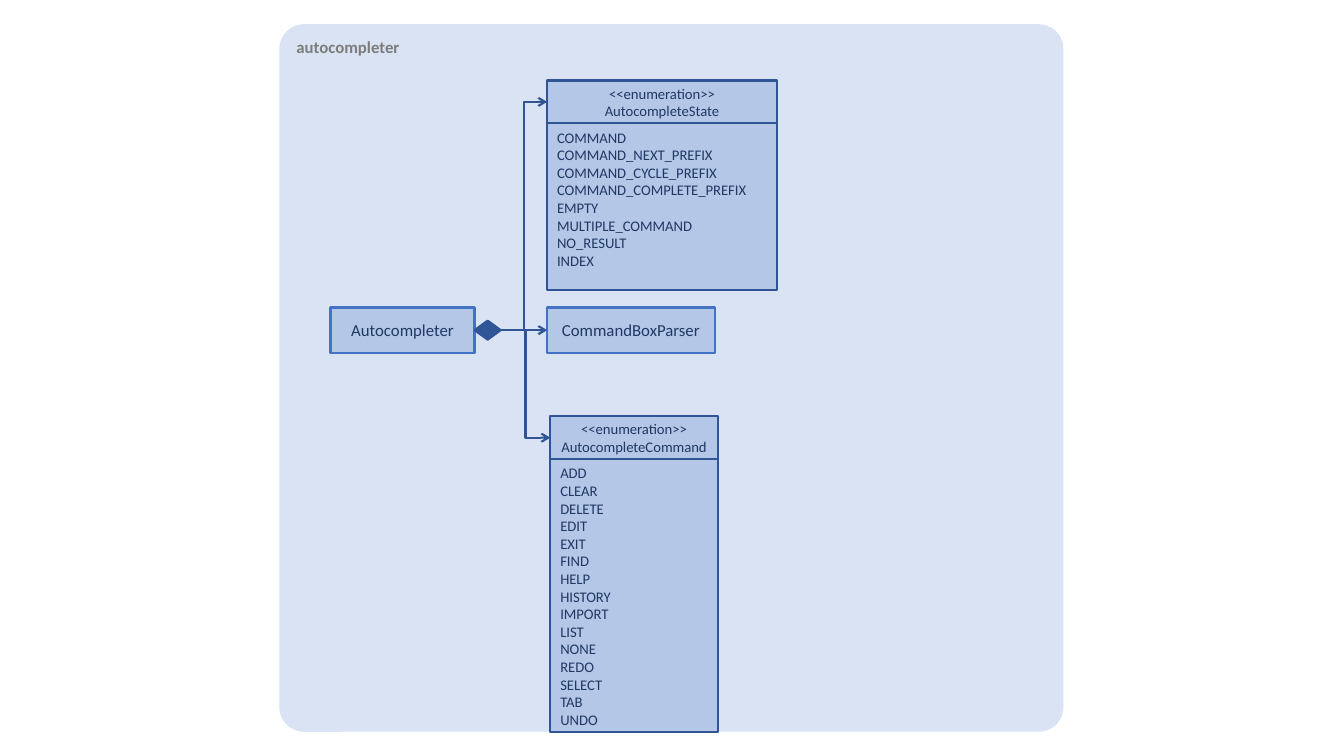
from pptx import Presentation
from pptx.dml.color import RGBColor
from pptx.enum.shapes import MSO_CONNECTOR as Connector, MSO_SHAPE as Shape
from pptx.enum.text import MSO_ANCHOR as Anchor, PP_ALIGN as Align
from pptx.oxml.ns import qn
from pptx.util import Cm, Pt
from lxml import etree

PANEL_FILL = RGBColor(0xDA, 0xE3, 0xF3)
CLASS_FILL = RGBColor(0xB4, 0xC7, 0xE7)
CLASS_LINE = RGBColor(0x44, 0x72, 0xC4)
DARK_BLUE = RGBColor(0x2F, 0x55, 0x97)
NAVY = RGBColor(0x20, 0x38, 0x64)
GREY = RGBColor(0x7C, 0x7C, 0x7C)

TITLE_FONT = {"name": "Calibri", "size": Pt(12), "bold": True}
CLASS_FONT = {"name": "Calibri", "size": Pt(12)}
ENUM_FONT = {"name": "Calibri", "size": Pt(10.5)}
CENTRED = {"vertical_anchor": Anchor.MIDDLE, "word_wrap": False}
LISTED = {"vertical_anchor": Anchor.TOP, "word_wrap": True}

HEADER_HEIGHT = 1.08
STATES = ["COMMAND", "COMMAND_NEXT_PREFIX", "COMMAND_CYCLE_PREFIX",
          "COMMAND_COMPLETE_PREFIX", "EMPTY", "MULTIPLE_COMMAND", "NO_RESULT", "INDEX"]
COMMANDS = ["ADD", "CLEAR", "DELETE", "EDIT", "EXIT", "FIND", "HELP", "HISTORY",
            "IMPORT", "LIST", "NONE", "REDO", "SELECT", "TAB", "UNDO"]


def apply_format(target, values):
    for attribute, value in values.items():
        setattr(target, attribute, value)


def add_block(slide, kind, box, fill, line=None):
    """Add a filled preset shape; box is left, top, width, height in cm."""
    block = slide.shapes.add_shape(kind, *map(Cm, box))
    block.shadow.inherit = False
    block.fill.solid()
    block.fill.fore_color.rgb = fill
    if line is None:
        block.line.fill.background()
    else:
        block.line.color.rgb = line
        block.line.width = Pt(1.5)
    return block


def write_lines(block, lines, font, color, frame_format, align):
    frame = block.text_frame
    apply_format(frame, frame_format)
    for number, line in enumerate(lines):
        paragraph = frame.add_paragraph() if number else frame.paragraphs[0]
        paragraph.alignment = align
        run = paragraph.add_run()
        run.text = line
        apply_format(run.font, font)
        run.font.color.rgb = color


def add_package(slide, box, title):
    package = add_block(slide, Shape.ROUNDED_RECTANGLE, box, PANEL_FILL)
    package.adjustments[0] = 0.035
    write_lines(package, [title], TITLE_FONT, GREY, LISTED, Align.LEFT)


def add_class(slide, box, name):
    class_box = add_block(slide, Shape.RECTANGLE, box, CLASS_FILL, CLASS_LINE)
    write_lines(class_box, [name], CLASS_FONT, NAVY, CENTRED, Align.CENTER)
    return class_box


def add_enumeration(slide, box, name, values):
    """Add a header over a list of values and return the header."""
    left, top, width, height = box
    body = add_block(slide, Shape.RECTANGLE,
                     (left, top + HEADER_HEIGHT, width, height - HEADER_HEIGHT),
                     CLASS_FILL, DARK_BLUE)
    write_lines(body, values, ENUM_FONT, NAVY, LISTED, Align.LEFT)
    header = add_block(slide, Shape.RECTANGLE, (left, top, width, HEADER_HEIGHT),
                       CLASS_FILL, DARK_BLUE)
    write_lines(header, ["<<enumeration>>", name], ENUM_FONT, NAVY, CENTRED, Align.CENTER)
    return header


def add_composition(slide, owner, parts):
    """Put a diamond at the owner's right side and run an arrow to each part."""
    width, height = 0.66, 0.48
    middle = owner.top + owner.height // 2
    diamond = add_block(slide, Shape.FLOWCHART_DECISION,
                        ((owner.left + owner.width) / Cm(1), middle / Cm(1) - height / 2,
                         width, height), DARK_BLUE, DARK_BLUE)
    start = diamond.left + diamond.width
    for part in parts:
        level = part.top + part.height // 2
        straight = level == middle
        kind = Connector.STRAIGHT if straight else Connector.ELBOW
        arrow = slide.shapes.add_connector(kind, start, middle, part.left, level)
        arrow.begin_connect(diamond, 3)
        arrow.end_connect(part, 1)
        arrow.line.color.rgb = DARK_BLUE
        arrow.line.width = Pt(1.5)
        etree.SubElement(arrow.line._get_or_add_ln(), qn("a:tailEnd"), type="arrow")
        etree.SubElement(arrow._element.spPr, qn("a:effectLst"))


def main():
    presentation = Presentation()
    presentation.slide_width, presentation.slide_height = Cm(33.87), Cm(19.05)
    slide = presentation.slides.add_slide(presentation.slide_layouts[6])
    add_package(slide, (7.04, 0.61, 19.76, 17.83), "autocompleter")
    autocompleter = add_class(slide, (8.33, 7.75, 3.63, 1.14), "Autocompleter")
    state = add_enumeration(slide, (13.79, 2.03, 5.79, 5.28), "AutocompleteState", STATES)
    parser = add_class(slide, (13.79, 7.75, 4.22, 1.14), "CommandBoxParser")
    command = add_enumeration(slide, (13.87, 10.49, 4.22, 7.95),
                              "AutocompleteCommand", COMMANDS)
    add_composition(slide, autocompleter, [command, parser, state])
    presentation.save("out.pptx")


if __name__ == "__main__":
    main()
